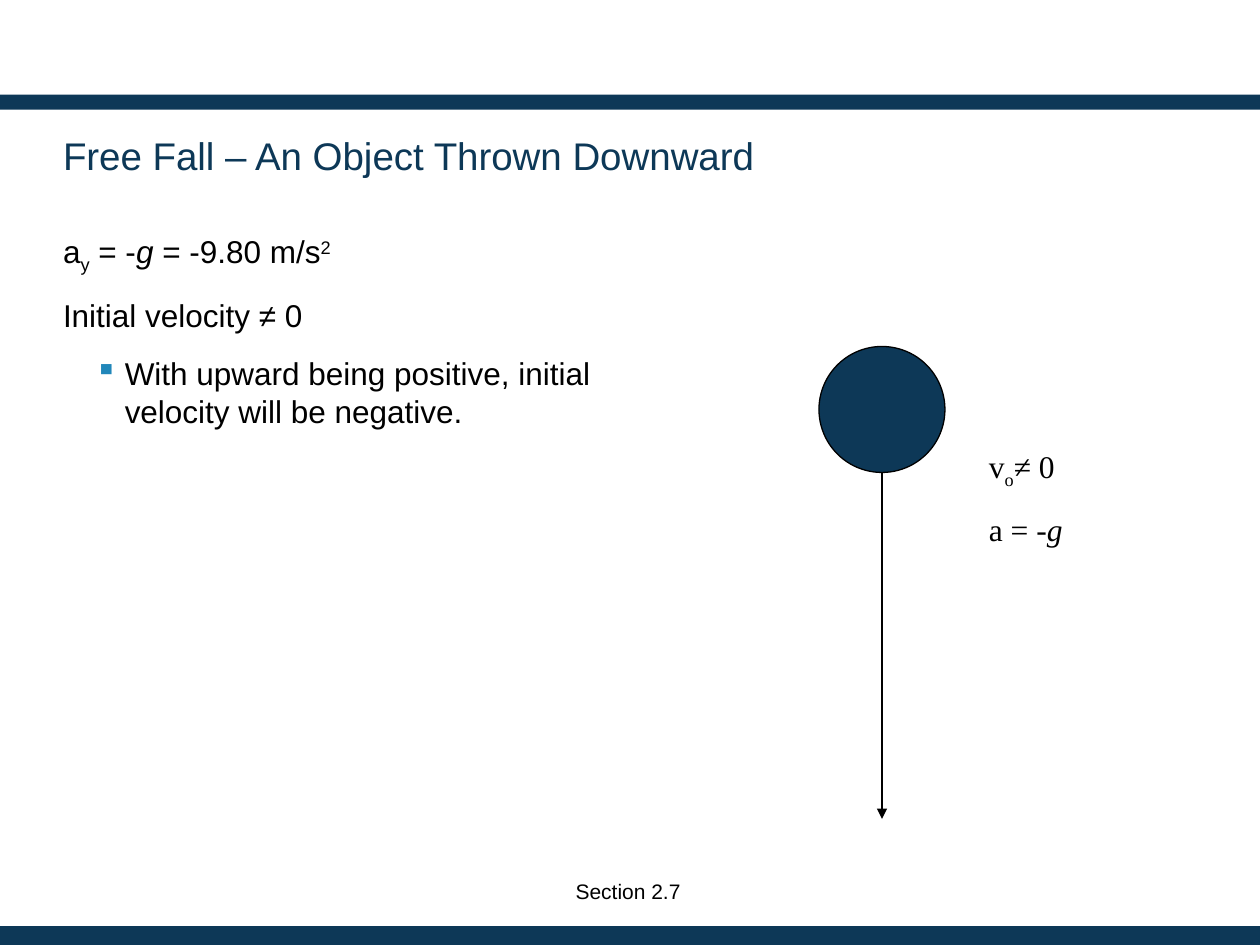
from dataclasses import dataclass, field

from lxml import etree
from pptx import Presentation
from pptx import util as u
from pptx.dml.color import RGBColor
from pptx.enum import shapes, text
from pptx.oxml import ns

COLOURS = {"navy": "0D3857", "bullet": "2187BA", "ink": "000000"}
LINE_WIDTH = u.Pt(0.75)


@dataclass
class Piece:
    words: str
    baseline: int = 0
    italic: bool = False


@dataclass
class Line:
    pieces: list[Piece]
    layout: dict = field(default_factory=dict)
    bullet: str = ""


@dataclass
class Block:
    box: tuple[float, float, float, float]
    lines: list[Line]
    font: dict
    colour: str = "ink"
    frame: dict = field(default_factory=dict)


def rgb(name: str) -> RGBColor:
    return RGBColor.from_string(COLOURS[name])


def apply(target, values: dict) -> None:
    for key, value in values.items():
        setattr(target, key, value)


def place(box: tuple) -> list[int]:
    return [u.Pt(length) for length in box]


def add_bullet(paragraph, mark: str) -> None:
    properties = paragraph._p.get_or_add_pPr()
    apply_indent = {"marL": u.Pt(35.3), "indent": u.Pt(-17.3)}
    for key, value in apply_indent.items():
        properties.set(key, str(value))
    colour = etree.SubElement(properties, ns.qn("a:buClr"))
    etree.SubElement(colour, ns.qn("a:srgbClr"), val=COLOURS["bullet"])
    etree.SubElement(properties, ns.qn("a:buChar"), char=mark)


def write(holder, block: Block) -> None:
    frame = holder.text_frame
    apply(frame, {"word_wrap": True, **block.frame})
    for index, line in enumerate(block.lines):
        paragraph = frame.add_paragraph() if index else frame.paragraphs[0]
        if line.bullet:
            add_bullet(paragraph, line.bullet)
        apply(paragraph, line.layout)
        for piece in line.pieces:
            run = paragraph.add_run()
            run.text = piece.words
            apply(run.font, {**block.font, "italic": piece.italic})
            run.font.color.rgb = rgb(block.colour)
            if piece.baseline:
                run.font._element.set("baseline", str(piece.baseline * 1000))


def add_text(slide, block: Block) -> None:
    write(slide.shapes.add_textbox(*place(block.box)), block)


def add_filled(slide, kind, box: tuple, outlined: bool = False) -> None:
    shape = slide.shapes.add_shape(kind, *place(box))
    shape.shadow.inherit = False
    shape.fill.solid()
    shape.fill.fore_color.rgb = rgb("navy")
    if outlined:
        shape.line.color.rgb = rgb("ink")
        shape.line.width = LINE_WIDTH
    else:
        shape.line.fill.background()


def add_arrow(slide, start: tuple, end: tuple) -> None:
    arrow = slide.shapes.add_connector(
        shapes.MSO_CONNECTOR.STRAIGHT, *place(start + end))
    arrow.line.color.rgb = rgb("ink")
    arrow.line.width = LINE_WIDTH
    etree.SubElement(arrow.line._get_or_add_ln(), ns.qn("a:tailEnd"), type="triangle")
    etree.SubElement(arrow._element.spPr, ns.qn("a:effectLst"))


FLUSH = {f"margin_{side}": 0 for side in ("left", "right", "top", "bottom")}
GROW = {"auto_size": text.MSO_AUTO_SIZE.SHAPE_TO_FIT_TEXT}
FIXED = {"line_spacing": u.Pt(22)}
SPACED = {"space_before": u.Pt(11.2)}

HEADING = Block(
    (36, 66.24, 594, 45.36),
    [Line([Piece("Free Fall – An Object Thrown Downward")],
          {"alignment": text.PP_ALIGN.LEFT})],
    {"name": "Arial", "size": u.Pt(22)}, "navy",
    {**FLUSH, "vertical_anchor": text.MSO_ANCHOR.MIDDLE,
     "auto_size": text.MSO_AUTO_SIZE.NONE})

EXPLANATION = Block(
    (36, 135.36, 317.52, 347.04),
    [Line([Piece("a"), Piece("y", -25), Piece(" = -"), Piece("g", italic=True),
           Piece(" = -9.80 m/s"), Piece("2", 30)], FIXED),
     Line([Piece("Initial velocity ≠ 0")], {**FIXED, **SPACED}),
     Line([Piece("With upward being positive, initial velocity will be negative.")],
          {**FIXED, **SPACED, "level": 1}, "▪")],
    {"name": "Arial", "size": u.Pt(18)}, frame=FLUSH)

MOTION = Block(
    (558, 252, 95.76, 64.8),
    [Line([Piece("v"), Piece("o", -25), Piece("≠ 0")]),
     Line([Piece("a = -"), Piece("g", italic=True)], SPACED)],
    {"name": "Times New Roman", "size": u.Pt(18)}, frame=GROW)

SECTION = Block(
    (282.24, 498.24, 113.76, 21.6),
    [Line([Piece("Section 2.7")], {"alignment": text.PP_ALIGN.RIGHT})],
    {"name": "Arial", "size": u.Pt(12)}, frame=GROW)


def main() -> None:
    deck = Presentation()
    apply(deck, {"slide_width": u.Pt(720), "slide_height": u.Pt(540)})
    slide = deck.slides.add_slide(deck.slide_layouts[5])

    for top, height in ((54, 8.64), (529.2, 10.8)):
        add_filled(slide, shapes.MSO_SHAPE.RECTANGLE, (0, top, 720, height))

    title = slide.shapes.title
    apply(title, dict(zip(("left", "top", "width", "height"), place(HEADING.box))))
    write(title, HEADING)

    add_text(slide, EXPLANATION)
    add_filled(slide, shapes.MSO_SHAPE.OVAL, (468, 198, 72, 72), outlined=True)
    add_arrow(slide, (504, 270), (504, 468))
    for block in (MOTION, SECTION):
        add_text(slide, block)

    deck.save("out.pptx")


if __name__ == "__main__":
    main()
